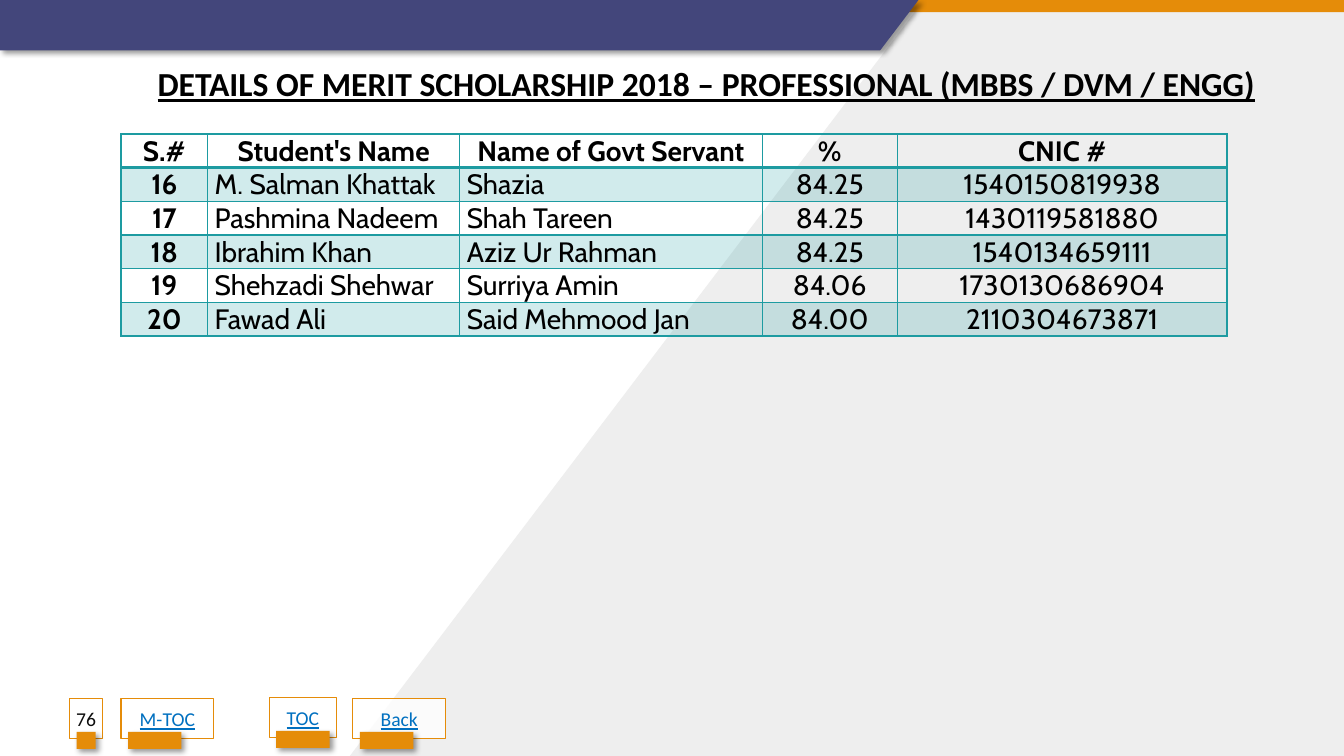
import pptx
import pptx.dml.color
import pptx.enum.shapes
import pptx.enum.text
import pptx.oxml
import pptx.oxml.ns
import pptx.util

RGB = pptx.dml.color.RGBColor
WHITE = RGB(0xFF, 0xFF, 0xFF)
BLACK = RGB(0, 0, 0)
INK = RGB(0x0D, 0x0D, 0x0D)
GREY = RGB(0xEE, 0xEE, 0xEE)
GOLD = RGB(0xE5, 0x8C, 0x09)
NAVY = RGB(0x43, 0x46, 0x7B)
BLUE = RGB(0x00, 0x70, 0xC0)
TEAL = RGB(0x1D, 0x9B, 0xA1)

PX = 9144  # EMU in one px, 100 px to the inch
NS = pptx.oxml.ns.nsdecls("a")
RECT = pptx.enum.shapes.MSO_SHAPE.RECTANGLE
MID = pptx.enum.text.MSO_ANCHOR.MIDDLE
LEFT = pptx.enum.text.PP_ALIGN.LEFT
CENTER = pptx.enum.text.PP_ALIGN.CENTER

TITLE = "DETAILS OF MERIT SCHOLARSHIP 2018 – PROFESSIONAL (MBBS / DVM / ENGG)"
COLS = [86, 250, 300, 134, 327]
ROWS = [
    ["S.#", "Student's Name", "Name of Govt Servant", "%", "CNIC #"],
    ["16", "M. Salman Khattak", "Shazia", "84.25", "1540150819938"],
    ["17", "Pashmina Nadeem", "Shah Tareen", "84.25", "1430119581880"],
    ["18", "Ibrahim Khan", "Aziz Ur Rahman", "84.25", "1540134659111"],
    ["19", "Shehzadi Shehwar", "Surriya Amin", "84.06", "1730130686904"],
    ["20", "Fawad Ali", "Said Mehmood Jan", "84.00", "2110304673871"],
]
# label, left, top, width, tab width, colour, underline
KEYS = [
    ("76", 69, 693, 33, 19, INK, False),
    ("Back", 350, 693, 92, 53, BLUE, True),
    ("TOC", 267, 692, 67, 53, BLUE, True),
    ("M-TOC", 120, 693, 92, 53, BLUE, True),
]


def px(*sizes):
    return [size * PX for size in sizes]


def fade(props, pct):
    """Set the opacity of a solid fill."""
    color = props.find(pptx.oxml.ns.qn("a:solidFill"))[0]
    color.append(pptx.oxml.parse_xml(f'<a:alpha {NS} val="{pct * 1000}"/>'))


def paint(shape, fill, shade=False):
    shape.fill.solid()
    shape.fill.fore_color.rgb = fill
    shape.line.fill.background()
    shape.shadow.inherit = False
    if shade:
        effects = shape._element.spPr.find(pptx.oxml.ns.qn("a:effectLst"))
        effects.append(pptx.oxml.parse_xml(
            f'<a:outerShdw {NS} blurRad="50800" dist="38100" dir="2700000" '
            'algn="tl" rotWithShape="0"><a:srgbClr val="000000">'
            '<a:alpha val="40000"/></a:srgbClr></a:outerShdw>'))


def add_rect(slide, box, fill, shade=False):
    rect = slide.shapes.add_shape(RECT, *px(*box))
    paint(rect, fill, shade)
    return rect


def add_free(slide, points, fill, shade=False):
    pen = slide.shapes.build_freeform(*points[0], scale=PX)
    pen.add_line_segments(points[1:], close=True)
    paint(pen.convert_to_shape(), fill, shade)


def write(par, text, size, face, color, bold=False, line=False, align=CENTER):
    par.text = text
    par.alignment = align
    font = par.font
    font.size = pptx.util.Pt(size)
    font.name = face
    font.color.rgb = color
    font.bold = bold
    font.underline = line


def add_key(slide, label, left, top, width, tab, color, line):
    """Add a framed label with a small gold tab on its lower edge."""
    key = add_rect(slide, (left, top, width, 40), WHITE)
    fade(key._element.spPr, 82)
    key.line.color.rgb = GOLD
    key.line.width = pptx.util.Pt(0.75)
    frame = key.text_frame
    frame.margin_left = frame.margin_right = 0
    frame.vertical_anchor = MID
    write(frame.paragraphs[0], label, 14, "Calibri", color, line=line)
    add_rect(slide, (left + 7, top + 33, tab, 17), GOLD, True)


def add_title(slide):
    box = slide.shapes.add_textbox(*px(141, 55, 1119, 51))
    box.text_frame.word_wrap = False
    par = box.text_frame.paragraphs[0]
    write(par, TITLE, 24, "Calibri", BLACK, True, True)
    par.line_spacing = 1.07


def add_edges(cell, head):
    props = cell._tc.get_or_add_tcPr()
    for side in "LRTB":
        width = 25400 if head and side == "B" else 12700
        props.append(pptx.oxml.parse_xml(
            f'<a:ln{side} {NS} w="{width}"><a:solidFill>'
            f'<a:srgbClr val="{TEAL}"/></a:solidFill></a:ln{side}>'))


def add_grid(slide):
    shape = slide.shapes.add_table(
        len(ROWS), len(COLS), *px(120, 133, sum(COLS), 200))
    table = shape.table
    table.first_row = table.horz_banding = False
    for col, width in zip(table.columns, COLS):
        col.width = width * PX
    for i, row in enumerate(ROWS):
        table.rows[i].height = 200 * PX // len(ROWS)
        for j, text in enumerate(row):
            cell = table.cell(i, j)
            cell.vertical_anchor = MID
            cell.margin_left = cell.margin_right = (7 if i else 4) * PX
            cell.margin_top = cell.margin_bottom = 0
            add_edges(cell, i == 0)
            if i % 2:
                cell.fill.solid()
                cell.fill.fore_color.rgb = TEAL
                fade(cell._tc.tcPr, 20)
            else:
                cell.fill.background()
            write(cell.text_frame.paragraphs[0], text, 20, "Cabin", BLACK,
                  bold=i == 0 or j == 0,
                  align=LEFT if i and j in (1, 2) else CENTER)


def main():
    deck = pptx.Presentation()
    deck.slide_width, deck.slide_height = px(1333, 750)
    slide = deck.slides.add_slide(deck.slide_layouts[6])

    # Backdrop
    add_free(slide, [(911, 0), (1333, 0), (1333, 750), (347, 750), (911, 7)],
             GREY)
    add_rect(slide, (0, 0, 1333, 12), GOLD)
    add_free(slide, [(0, 0), (911, 0), (873, 50), (0, 50)], NAVY, True)

    # Page number and links
    for key in KEYS:
        add_key(slide, *key)

    # Title and table
    add_title(slide)
    add_grid(slide)
    deck.save("out.pptx")


if __name__ == "__main__":
    main()
